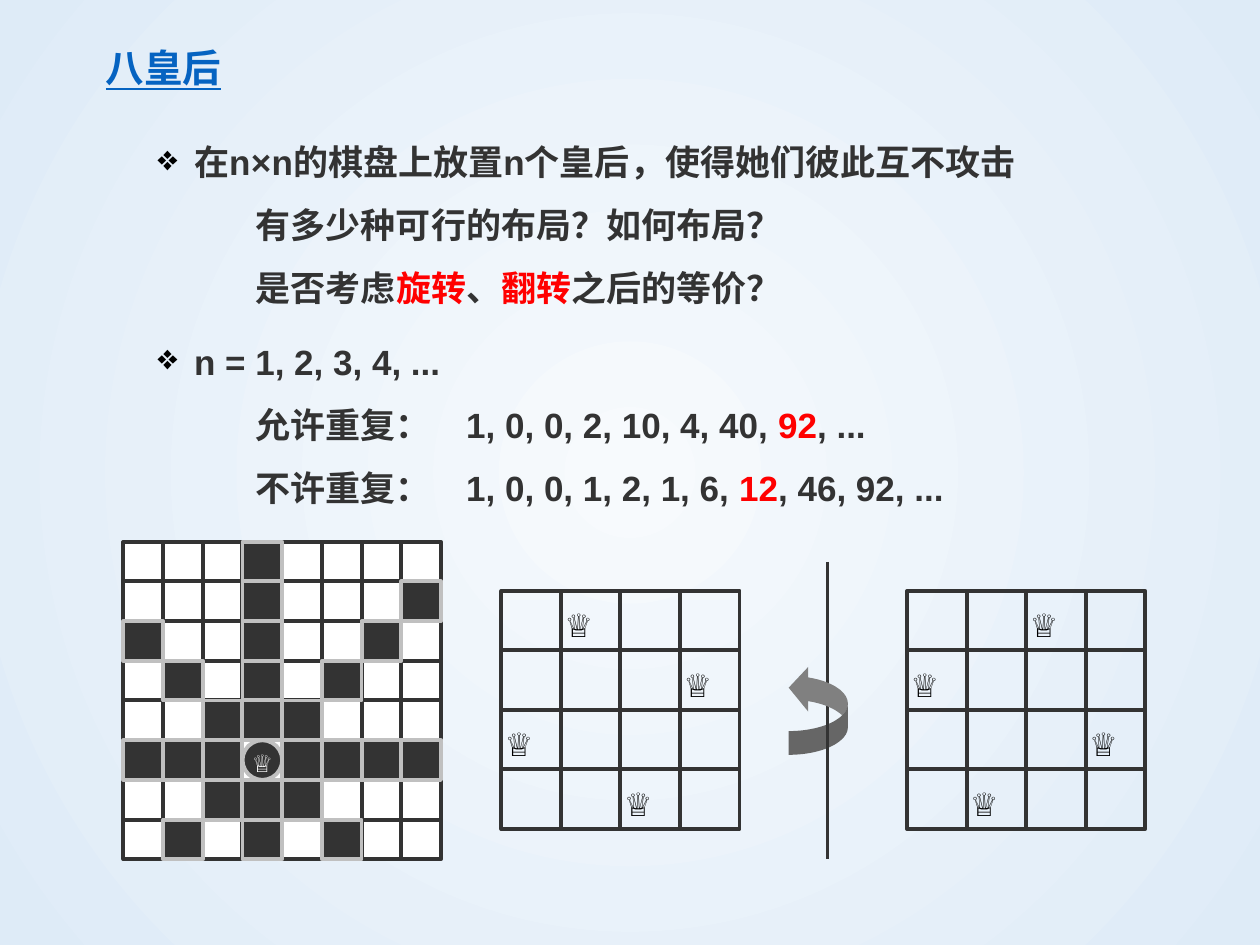
from lxml.etree import SubElement
from pptx import Presentation
from pptx.dml.color import RGBColor
from pptx.enum.shapes import MSO_CONNECTOR, MSO_SHAPE
from pptx.enum.text import MSO_ANCHOR, PP_ALIGN
from pptx.oxml.ns import qn
from pptx.util import Inches, Pt

INK, RED, BLACK, WHITE = "333333", "FF0000", "000000", "FFFFFF"
QUEEN = "♕"


def paint(color, code):
    color.rgb = RGBColor.from_string(code)


def write(par, text, size=20, font="Arial", color=INK, bold=True, line=False):
    """Add text to a paragraph; a newline becomes a line break."""
    for i, part in enumerate(text.split("\n")):
        if i:
            par.add_line_break()
        if not part:
            continue
        run = par.add_run()
        run.text = part
        face = run.font
        face.size, face.name, face.bold = Pt(size), font, bold
        face.underline = line
        paint(face.color, color)


class Deck:
    font, mono = "Arial", "Courier New"
    edge = 2.25

    def __init__(self, wide, high):
        self.prs = Presentation()
        self.prs.slide_width, self.prs.slide_height = Inches(wide), Inches(high)
        self.slide = self.prs.slides.add_slide(self.prs.slide_layouts[6])

    def glow(self, inner, outer):
        fill = self.slide.background.fill
        fill.gradient()
        for stop, code, pos in zip(fill.gradient_stops, (inner, outer), (0, 1)):
            paint(stop.color, code)
            stop.position = pos
        grad = self.slide.element.find(".//" + qn("a:gradFill"))
        grad.remove(grad.find(qn("a:lin")))
        way = SubElement(grad, qn("a:path"), path="circle")
        SubElement(way, qn("a:fillToRect"), dict.fromkeys("ltrb", "50000"))

    def frame(self, shape, pad, anchor, wrap=True):
        box = shape.text_frame
        box.word_wrap, box.vertical_anchor = wrap, anchor
        (box.margin_left, box.margin_top,
         box.margin_right, box.margin_bottom) = map(Inches, pad)
        return box

    def text(self, x, y, w, h, pad, anchor=MSO_ANCHOR.TOP, wrap=True):
        shape = self.slide.shapes.add_textbox(*map(Inches, (x, y, w, h)))
        return self.frame(shape, pad, anchor, wrap)

    def bullet(self, par, stops, indent=0.29):
        prop = par._p.get_or_add_pPr()
        prop.set("marL", str(Inches(indent)))
        prop.set("indent", str(-Inches(indent)))
        tint = SubElement(prop, qn("a:buClr"))
        SubElement(tint, qn("a:srgbClr"), val=BLACK)
        SubElement(prop, qn("a:buChar"), char="❖")
        tabs = SubElement(prop, qn("a:tabLst"))
        for stop in stops:
            SubElement(tabs, qn("a:tab"), pos=str(Inches(stop)), algn="l")
        par.line_spacing = 1.5

    def shape(self, kind, x, y, w, h, fill=None, line=None):
        item = self.slide.shapes.add_shape(kind, *map(Inches, (x, y, w, h)))
        item.shadow.inherit = False
        if fill:
            item.fill.solid()
            paint(item.fill.fore_color, fill)
        else:
            item.fill.background()
        if line:
            paint(item.line.color, line)
            item.line.width = Pt(self.edge)
        else:
            item.line.fill.background()
        return item

    def cell(self, x, y, size, fill=None, line=INK, kind=MSO_SHAPE.RECTANGLE):
        return self.shape(kind, x, y, size, size, fill, line)

    def queen(self, cell, size, pad, align, color=BLACK, bold=False, wrap=True):
        par = self.frame(cell, [pad] * 4, MSO_ANCHOR.MIDDLE, wrap).paragraphs[0]
        par.alignment = align
        write(par, QUEEN, size=size, font=self.mono, color=color, bold=bold)

    def line(self, x, top, end):
        rule = self.slide.shapes.add_connector(
            MSO_CONNECTOR.STRAIGHT, *map(Inches, (x, top, x, end)))
        paint(rule.line.color, INK)
        rule.line.width = Pt(1.75)
        SubElement(rule._element.spPr, qn("a:effectLst"))

    def small(self, left, top, cols, side=1.89):
        """Draw a board with one queen per row, at the given columns."""
        n = len(cols)
        step = side / n
        for row, spot in enumerate(cols):
            for col in range(n):
                cell = self.cell(left + col * step, top + row * step, step)
                if col == spot:
                    self.queen(cell, 24, 0.04, PP_ALIGN.LEFT)

    def reach(self, left, top, row, col, n=8, side=2.52):
        """Draw a board with one queen and every cell she attacks."""
        step = side / n
        free, hit = [], []
        for r in range(n):
            for c in range(n):
                down, over = abs(r - row), abs(c - col)
                near = down == 0 or over == 0 or down == over
                own = down == over == 0
                spot = (left + c * step, top + r * step, step)
                (hit if near and not own else free).append(spot)
        for spot in free:
            self.cell(*spot, fill=WHITE)
        disc = self.cell(left + col * step, top + row * step, step,
                         INK, "C0C0C0", MSO_SHAPE.OVAL)
        self.queen(disc, 18, 0, PP_ALIGN.CENTER, WHITE, True, False)
        for spot in hit:
            self.cell(*spot, fill=INK, line="C0C0C0")


def main():
    deck = Deck(10, 7.5)
    deck.glow("F7FAFD", "DEEBF7")

    # Title
    head = deck.text(0.78, 0.34, 1.05, 0.39, (0.06, 0.01, 0.06, 0.01),
                     MSO_ANCHOR.MIDDLE, False)
    write(head.paragraphs[0], "八皇后", size=22, color="0563C1", line=True)

    # Problem and counts
    body = deck.text(1.09, 0.87, 8.62, 3.4, (0.16, 0.08, 0, 0.08))
    task, count = body.paragraphs[0], body.add_paragraph()
    for par in (task, count):
        deck.bullet(par, (0.29, 0.78, 2.45))
    count.space_before = Pt(6)
    write(task, "在n")
    write(task, "×", font=deck.mono)
    write(task, "n的棋盘上放置n个皇后，使得她们彼此互不攻击\n"
                "\t有多少种可行的布局？如何布局？\n\t是否考虑")
    write(task, "旋转", color=RED)
    write(task, "、")
    write(task, "翻转", color=RED)
    write(task, "之后的等价？")
    write(count, "n = 1, 2, 3, 4, ...\n\t允许重复：\t1, 0, 0, 2, 10, 4, 40, ")
    write(count, "92", color=RED)
    write(count, ", ...\n\t不许重复：\t1, 0, 0, 1, 2, 1, 6, ")
    write(count, "12", color=RED)
    write(count, ", 46, 92, ...")

    # Mirrored solution
    cols = (1, 3, 0, 2)
    deck.small(7.2, 4.69, [len(cols) - 1 - col for col in cols])

    # Mirror axis and turning arrow
    deck.line(6.57, 4.46, 5.64)
    turn = deck.shape(MSO_SHAPE.CURVED_UP_ARROW, 6.14, 5.4, 0.71, 0.47, "808080")
    turn.rotation = 270
    for i, value in enumerate((0.4, 0.8, 0.33)):
        turn.adjustments[i] = value
    deck.line(6.57, 5.64, 6.82)

    # Solution, then the attack pattern
    deck.small(3.98, 4.69, cols)
    deck.reach(0.98, 4.3, 5, 3)

    deck.prs.save("out.pptx")


if __name__ == "__main__":
    main()
